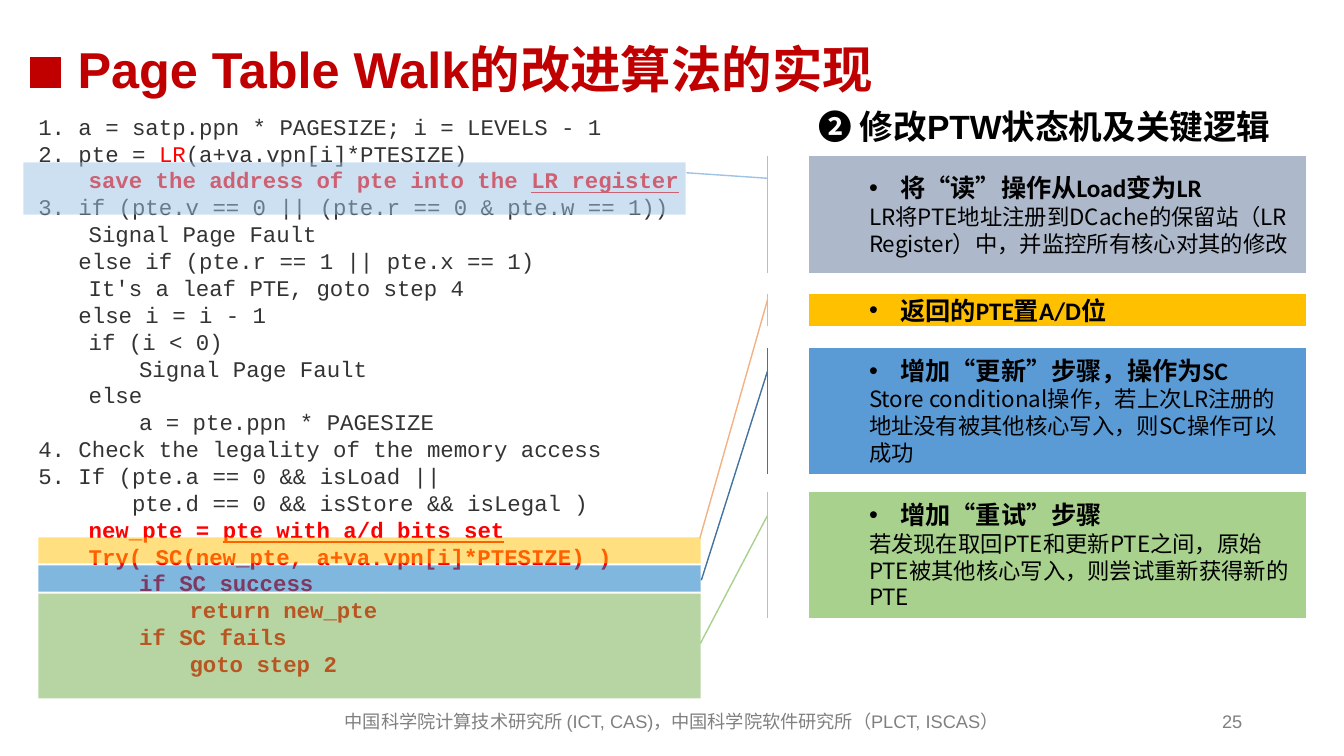
from lxml import etree
from pptx import Presentation
from pptx.dml.color import RGBColor
from pptx.enum.shapes import MSO_SHAPE
from pptx.enum.text import MSO_ANCHOR, PP_ALIGN
from pptx.oxml.ns import qn
from pptx.util import Emu, Inches, Pt

RECTANGLE = MSO_SHAPE.RECTANGLE
CALLOUT = MSO_SHAPE.LINE_CALLOUT_1_ACCENT_BAR
TOP, MIDDLE = MSO_ANCHOR.TOP, MSO_ANCHOR.MIDDLE
LEFT, CENTER, RIGHT = PP_ALIGN.LEFT, PP_ALIGN.CENTER, PP_ALIGN.RIGHT

WIDTH, HEIGHT = Inches(13.33), Inches(7.5)
CJK_FONT = "Noto Sans CJK SC"
DARK_RED, RED, GREY, CODE_GREY, BLACK = "C00000", "FF0000", "808080", "333333", "000000"

# Columns and bands, in percent of the slide
CODE_LEFT, CODE_WIDTH = 2.85, 49.29
NOTE_LEFT, NOTE_WIDTH = 60.17, 36.98
FOOTER_TOP, FOOTER_HEIGHT = 92.67, 5.33

# Each code line is a list of (text, style); styles: plain, red, bold, underlined
CODE = [
    [("1. a = satp.ppn * PAGESIZE; i = LEVELS - 1", "plain")],
    [("2. pte = ", "plain"), ("LR", "red"), ("(a+va.vpn[i]*PTESIZE)", "plain")],
    [("\tsave the address of pte into the ", "bold"), ("LR register", "underlined")],
    [("3. if (pte.v == 0 || (pte.r == 0 & pte.w == 1))", "plain")],
    [("\tSignal Page Fault", "plain")],
    [("   else if (pte.r == 1 || pte.x == 1)", "plain")],
    [("\tIt's a leaf PTE, goto step 4", "plain")],
    [("   else i = i - 1", "plain")],
    [("\tif (i < 0)", "plain")],
    [("\t\tSignal Page Fault", "plain")],
    [("\telse", "plain")],
    [("\t\ta = pte.ppn * PAGESIZE", "plain")],
    [("4. Check the legality of the memory access", "plain")],
    [("5. If (pte.a == 0 && isLoad ||", "plain")],
    [("       pte.d == 0 && isStore && isLegal )", "plain")],
    [("\tnew_pte = ", "bold"), ("pte with a/d bits set", "underlined")],
    [("\tTry( SC(new_pte, a+va.vpn[i]*PTESIZE) )", "bold")],
    [("\t\tif SC success", "bold")],
    [("\t\t\treturn new_pte", "bold")],
    [("\t\tif SC fails", "bold")],
    [("\t\t\tgoto step 2", "bold")],
]

# Highlight bands over the code: left, top, width, height, colour
HIGHLIGHTS = [
    (1.73, 21.47, CODE_WIDTH, 6.93, "9DC3E6"),
    (CODE_LEFT, 71.07, CODE_WIDTH, 3.47, "FFC000"),
    (CODE_LEFT, 74.8, CODE_WIDTH, 3.47, "0070C0"),
    (CODE_LEFT, 78.53, CODE_WIDTH, 13.87, "70AD47"),
]

# Callouts: top, height, fill, line, pointer end (y, x), heading, body
CALLOUTS = [
    (20.67, 15.47, "ADB9CA", "9DC3E6", (0.141, -0.246), "将“读”操作从Load变为LR",
     "LR将PTE地址注册到DCache的保留站（LR Register）中，并监控所有核心对其的修改"),
    (38.93, 4.13, "FFC000", "F4B183", (7.814, -0.219), "返回的PTE置A/D位", None),
    (46, 16.67, "5B9BD5", "43739E", (1.845, -0.216), "增加“更新”步骤，操作为SC",
     "Store conditional操作，若上次LR注册的地址没有被其他核心写入，则SC操作可以成功"),
    (65.07, 16.67, "A9D18E", "A9D18E", (1.203, -0.218), "增加“重试”步骤",
     "若发现在取回PTE和更新PTE之间，原始PTE被其他核心写入，则尝试重新获得新的PTE"),
]


def rgb(value):
    return RGBColor.from_string(value)


def place(left, top, width, height):
    """Turn percentages of the slide into lengths."""
    return (Emu(int(WIDTH * left / 100)), Emu(int(HEIGHT * top / 100)),
            Emu(int(WIDTH * width / 100)), Emu(int(HEIGHT * height / 100)))


def add_span(para, text, font, size, color, bold=False, underline=False):
    span = para.add_run()
    span.text = text
    span.font.size = Pt(size)
    span.font.bold = bold
    span.font.underline = underline
    span.font.color.rgb = rgb(color)
    span.font.name = font
    properties = span.font._element
    etree.SubElement(properties, qn("a:ea")).set("typeface", CJK_FONT)


def add_box(page, area, anchor):
    frame = page.shapes.add_textbox(*place(*area)).text_frame
    frame.word_wrap = True
    frame.vertical_anchor = anchor
    return frame


def add_line_of_text(page, area, text, size, color, align=LEFT, anchor=MIDDLE,
                     bold=False, spacing=1.0):
    para = add_box(page, area, anchor).paragraphs[0]
    para.alignment = align
    para.line_spacing = spacing
    add_span(para, text, "Arial", size, color, bold)


def add_block(page, preset, area, fill, line=None, opacity=100):
    shape = page.shapes.add_shape(preset, *place(*area))
    shape.shadow.inherit = False
    shape.fill.solid()
    shape.fill.fore_color.rgb = rgb(fill)
    if opacity < 100:
        color = shape.fill._xPr.find(qn("a:solidFill"))[0]
        etree.SubElement(color, qn("a:alpha")).set("val", str(opacity * 1000))
    if line:
        shape.line.color.rgb = rgb(line)
        shape.line.width = Pt(1)
    else:
        shape.line.fill.background()
    return shape


def indent(para, margin, first, bullet=None):
    para.alignment = LEFT
    para.level = 1
    properties = para._p.get_or_add_pPr()
    properties.set("marL", str(Inches(margin)))
    properties.set("indent", str(Inches(first)))
    if bullet:
        etree.SubElement(properties, qn("a:buFont")).set("typeface", "Arial")
        etree.SubElement(properties, qn("a:buChar")).set("char", bullet)
    else:
        etree.SubElement(properties, qn("a:buNone"))


def add_callout(page, top, height, fill, line, pointer, heading, body):
    shape = add_block(page, CALLOUT, (NOTE_LEFT, top, NOTE_WIDTH, height), fill, line)
    for index, value in enumerate((0.188, -0.083, *pointer)):
        shape.adjustments[index] = value
    frame = shape.text_frame
    frame.word_wrap = True
    frame.vertical_anchor = MIDDLE
    para = frame.paragraphs[0]
    indent(para, 0.81, -0.31, "•")
    add_span(para, heading, "Calibri", 18, BLACK, bold=True)
    if body:
        para = frame.add_paragraph()
        indent(para, 0.5, 0)
        add_span(para, body, CJK_FONT, 16, BLACK)


def add_code(page, area):
    frame = add_box(page, area, TOP)
    frame.margin_left = frame.margin_right = frame.margin_bottom = 0
    frame.margin_top = Inches(0.04)
    for index, parts in enumerate(CODE):
        para = frame.add_paragraph() if index else frame.paragraphs[0]
        para.line_spacing = Pt(19.2)
        for text, style in parts:
            add_span(para, text, "Courier New", 16,
                     CODE_GREY if style == "plain" else RED,
                     bold=style in ("bold", "underlined"),
                     underline=style == "underlined")


def main():
    deck = Presentation()
    deck.slide_width, deck.slide_height = WIDTH, HEIGHT
    page = deck.slides.add_slide(deck.slide_layouts[6])

    # Title and footer
    add_block(page, RECTANGLE, (2.25, 7.6, 2.25, 4), DARK_RED, DARK_RED)
    add_line_of_text(page, (70.67, FOOTER_TOP, 22.5, FOOTER_HEIGHT), "25", 13, GREY, RIGHT)
    add_line_of_text(page, (19.88, FOOTER_TOP, 60.17, FOOTER_HEIGHT),
                     "中国科学院计算技术研究所 (ICT, CAS)，中国科学院软件研究所（PLCT, ISCAS）",
                     13, GREY, CENTER)
    add_line_of_text(page, (5.03, 4.67, 91, 9.73), "Page Table Walk的改进算法的实现",
                     36, DARK_RED, bold=True, spacing=0.9)
    add_line_of_text(page, (NOTE_LEFT, 14, 39.8, 6.27), "❷ 修改PTW状态机及关键逻辑",
                     24, BLACK, anchor=TOP, bold=True, spacing=0.9)

    # Algorithm with its highlights, and the callouts that explain them
    add_code(page, (CODE_LEFT, 14.4, 51.24, 84))
    for *area, color in HIGHLIGHTS:
        add_block(page, RECTANGLE, area, color, opacity=50)
    for callout in CALLOUTS:
        add_callout(page, *callout)

    deck.save("out.pptx")


if __name__ == "__main__":
    main()
